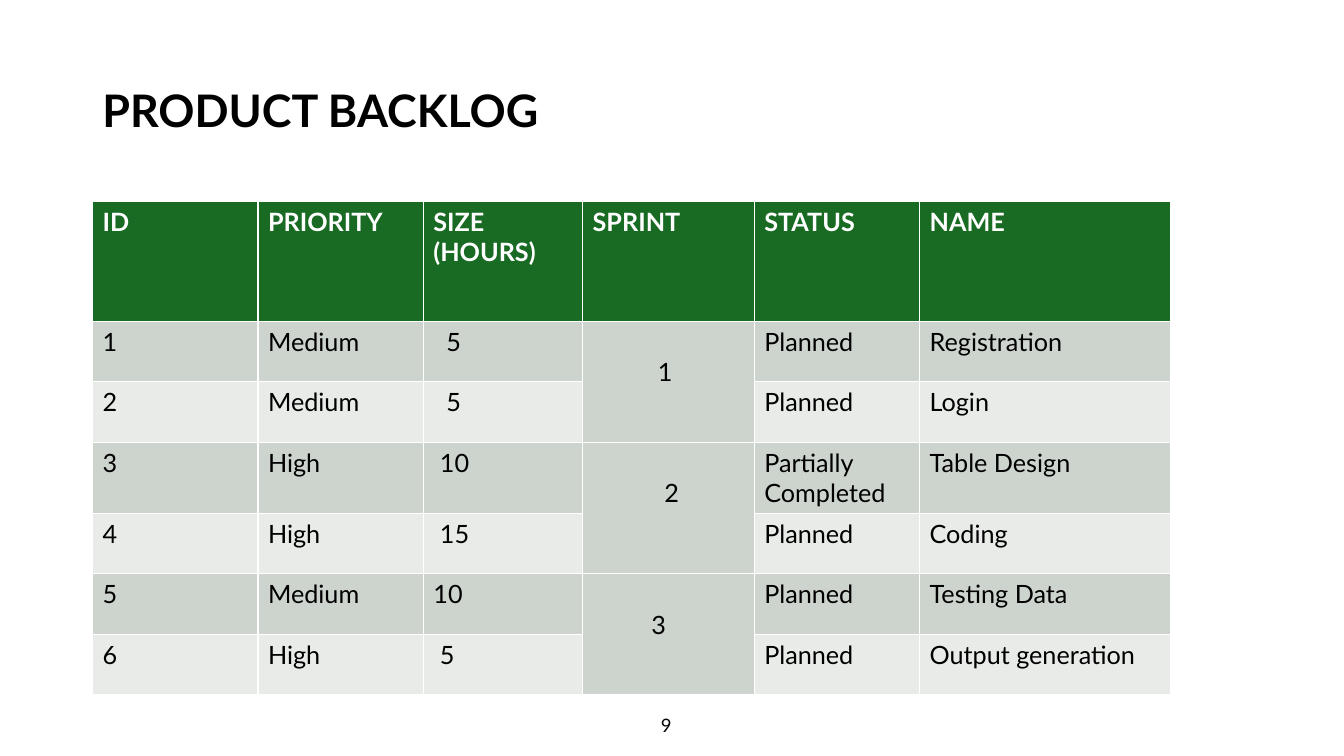
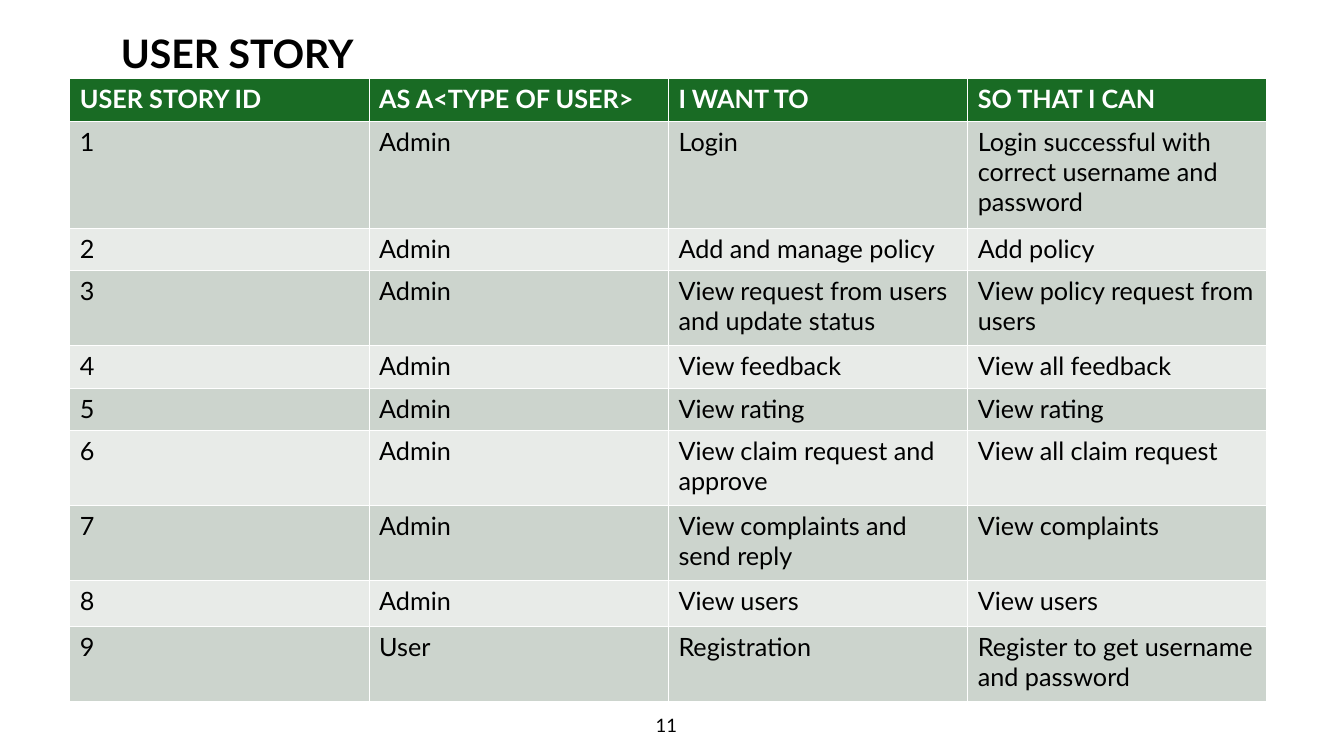
from pptx import Presentation
from pptx.dml.color import RGBColor
from pptx.enum.text import MSO_ANCHOR, PP_ALIGN
from pptx.util import Pt

FONT = "Lato"
BLACK = RGBColor(0x00, 0x00, 0x00)
WHITE = RGBColor(0xFF, 0xFF, 0xFF)
GREEN = RGBColor(0x19, 0x6B, 0x24)
BANDS = (RGBColor(0xCC, 0xD4, 0xCD), RGBColor(0xE8, 0xEB, 0xE8))
INSET = 7.2
STEP = 4.65
DROP = 25.2

BACKLOG = [
    ("ID", "PRIORITY", "SIZE\n(HOURS)", "SPRINT", "STATUS", "NAME"),
    ("1", "Medium", "5", "1", "Planned", "Registration"),
    ("2", "Medium", "5", "", "Planned", "Login"),
    ("3", "High", "10", "2", "Partially Completed", "Table Design"),
    ("4", "High", "15", "", "Planned", "Coding"),
    ("5", "Medium", "10", "3", "Planned", "Testing Data"),
    ("6", "High", "5", "", "Planned", "Output generation"),
]
SIZE_COL, SPRINT_COL = 2, 3
SIZE_STEPS = (2, 2, 1, 1, 0, 1)
SPRINT_STEPS = (10, 11, 9)

STORIES = [
    ("USER STORY ID", "AS A<TYPE OF USER>", "I WANT TO", "SO THAT I CAN"),
    ("1", "Admin", "Login", "Login successful with correct username and password"),
    ("2", "Admin", "Add and manage policy", "Add policy"),
    ("3", "Admin", "View request from users and update status",
     "View policy request from users"),
    ("4", "Admin", "View feedback", "View all feedback"),
    ("5", "Admin", "View rating", "View rating"),
    ("6", "Admin", "View claim request and approve", "View all claim request"),
    ("7", "Admin", "View complaints and send reply", "View complaints"),
    ("8", "Admin", "View users", "View users"),
    ("9", "User", "Registration", "Register to get username and password"),
]


def write(frame, text, size=18, color=BLACK, bold=False,
          align=PP_ALIGN.LEFT, line=None, before=None):
    frame.text = text
    for para in frame.paragraphs:
        para.alignment = align
        if line is not None:
            para.line_spacing = line
        if before is not None:
            para.space_before = Pt(before)
        for run in para.runs:
            font = run.font
            font.name, font.size, font.bold = FONT, Pt(size), bold
            font.color.rgb = color


def add_text(slide, text, left, top, width, height,
             anchor=MSO_ANCHOR.TOP, **style):
    box = slide.shapes.add_textbox(Pt(left), Pt(top), Pt(width), Pt(height))
    frame = box.text_frame
    frame.word_wrap = True
    frame.vertical_anchor = anchor
    write(frame, text, **style)


def add_title(slide, text, *place, **style):
    add_text(slide, text, *place, bold=True, **style)


def add_number(slide, number):
    add_text(slide, str(number), 383.8, 510.5, 184.3, 19.4, size=13.2,
             align=PP_ALIGN.CENTER, line=0.7, before=10)


def add_grid(slide, data, left, top, widths, heights):
    frame = slide.shapes.add_table(len(data), len(widths), Pt(left), Pt(top),
                                   Pt(sum(widths)), Pt(sum(heights)))
    table = frame.table
    for col, width in zip(table.columns, widths):
        col.width = Pt(width)
    for row, height in zip(table.rows, heights):
        row.height = Pt(height)
    for i, line in enumerate(data):
        head = i == 0
        for j, text in enumerate(line):
            cell = table.cell(i, j)
            cell.fill.solid()
            cell.fill.fore_color.rgb = GREEN if head else BANDS[(i - 1) % 2]
            write(cell.text_frame, text, bold=head,
                  color=WHITE if head else BLACK)
    return table


def indent(cell, steps):
    cell.margin_left = Pt(round(INSET + steps * STEP, 2))


def add_backlog(deck):
    slide = deck.slides.add_slide(deck.slide_layouts[6])
    add_title(slide, "PRODUCT BACKLOG", 66, 28.8, 828, 104.4, size=32,
              line=0.9, anchor=MSO_ANCHOR.MIDDLE)
    table = add_grid(slide, BACKLOG, 66.2, 144,
                     (118.1, 118.1, 113.8, 122.6, 118.1, 179.3),
                     (85.5, 43.2, 43.2, 50.8, 43.2, 43.2, 43.2))
    for i, steps in enumerate(SIZE_STEPS, 1):
        indent(table.cell(i, SIZE_COL), steps)
    for k, steps in enumerate(SPRINT_STEPS):
        first = 2 * k + 1
        cell = table.cell(first, SPRINT_COL)
        cell.merge(table.cell(first + 1, SPRINT_COL))
        cell.margin_top = Pt(DROP)
        indent(cell, steps)
    add_number(slide, 9)


def add_stories(deck):
    slide = deck.slides.add_slide(deck.slide_layouts[6])
    low, mid, tall = 30.4, 53.5, 76.4
    add_grid(slide, STORIES, 49.9, 56.2, (213.8,) * 4,
             (low, tall, low, mid, low, low, mid, mid, 33, mid))
    add_number(slide, 11)
    add_title(slide, "USER STORY", 79.2, 17.3, 212.4, 41, size=28)


def main():
    deck = Presentation()
    deck.slide_width, deck.slide_height = Pt(960), Pt(540)
    add_backlog(deck)
    add_stories(deck)
    deck.save("out.pptx")


main()
